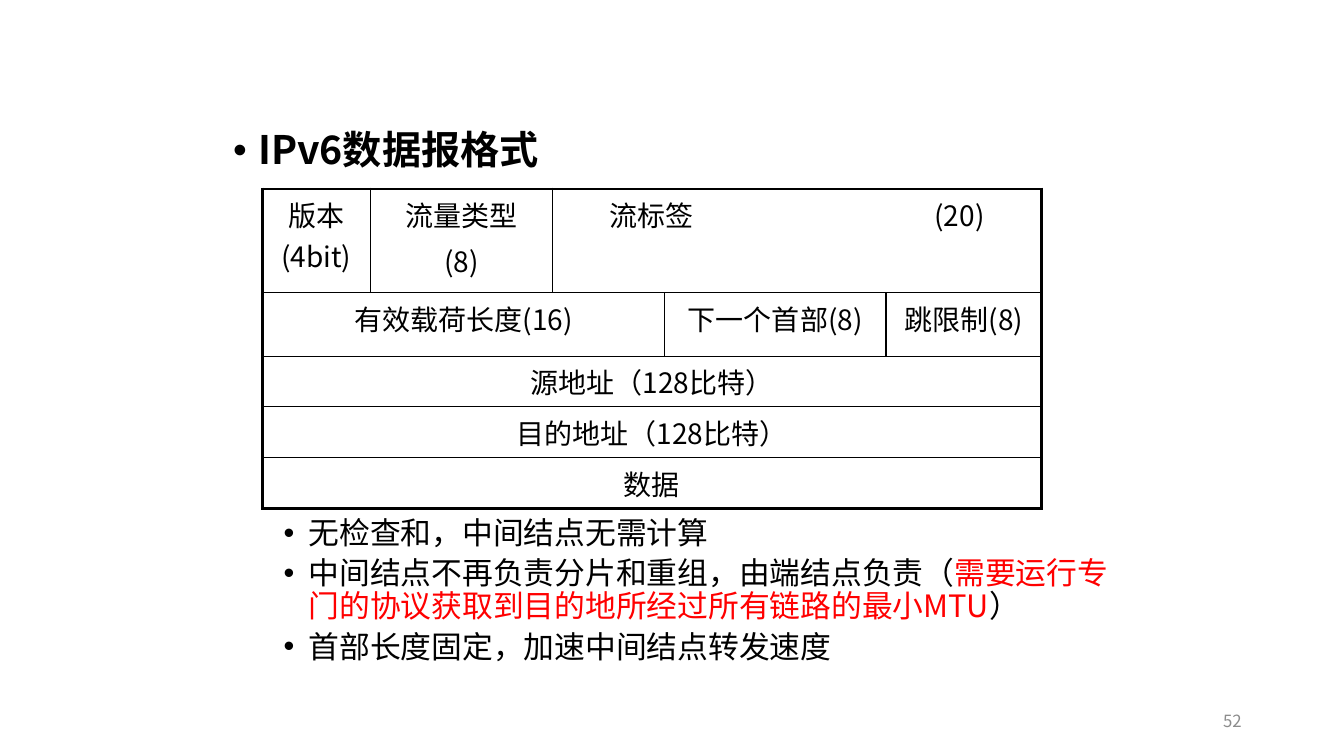
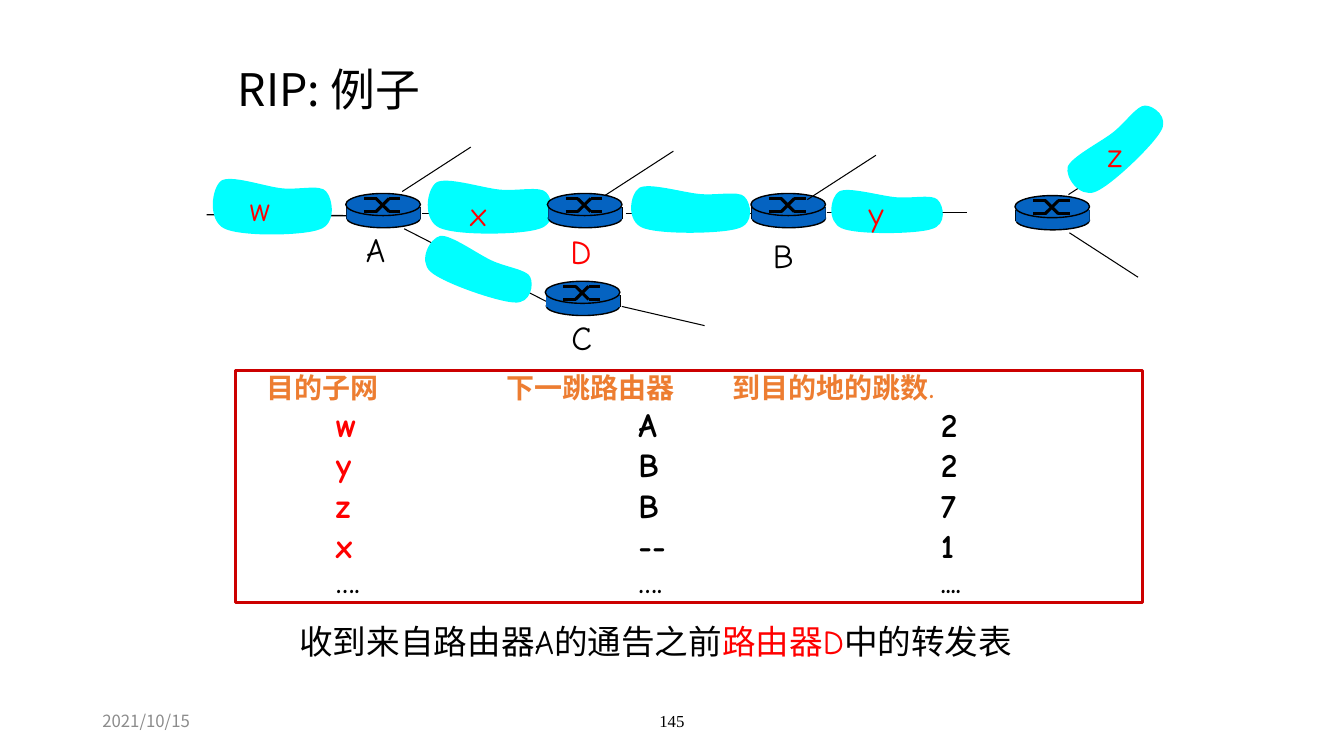
from lxml.etree import SubElement
from pptx import Presentation
from pptx.dml.color import RGBColor
from pptx.enum.shapes import MSO_CONNECTOR, MSO_SHAPE
from pptx.enum.text import MSO_ANCHOR, MSO_AUTO_SIZE, PP_ALIGN
from pptx.oxml.ns import qn
from pptx.util import Pt

BLACK = RGBColor(0x00, 0x00, 0x00)
GRAY = RGBColor(0x8C, 0x8C, 0x8C)
RED = RGBColor(0xFF, 0x00, 0x00)
CRIMSON = RGBColor(0xCC, 0x00, 0x00)
ORANGE = RGBColor(0xED, 0x7D, 0x31)
CYAN = RGBColor(0x00, 0xFF, 0xFF)
BLUE = RGBColor(0x05, 0x63, 0xC1)
SANS, COMIC, SERIF = "Noto Sans CJK SC", "Comic Neue", "Times New Roman"
THIN, FINE, BOLD = 0.75, 1, 2.25
CLOUD_SIZE = (134, 59)
CLOUD = [
    (76, 13), (58, 11), (24, 0), (14, 6), (4, 13), (0, 43), (17, 51), (34, 59),
    (99, 58), (116, 52), (134, 47), (130, 23), (123, 16), (117, 9), (94, 15), (76, 13),
]


class Deck:
    """Hold the shared style and the current slide."""

    def __init__(self):
        self.show = Presentation()
        self.show.slide_width, self.show.slide_height = Pt(960), Pt(540)
        self.slide = None

    def new(self, layout):
        """Start a slide on the given layout."""
        self.slide = self.show.slides.add_slide(self.show.slide_layouts[layout])

    def line(self, par, *bits, size=24, color=BLACK, face=SANS, bold=False, align=PP_ALIGN.LEFT, tabs=()):
        """Fill a paragraph with strings or (string, colour) pairs."""
        par.alignment = align
        if tabs:
            stops = SubElement(par._p.get_or_add_pPr(), qn("a:tabLst"))
            for pos in tabs:
                SubElement(stops, qn("a:tab"), pos=str(Pt(pos)), algn="l")
        for bit in bits:
            text, ink = (bit, color) if isinstance(bit, str) else bit
            run = par.add_run()
            run.text = text
            font = run.font
            font.size, font.bold, font.name = Pt(size), bold, face
            font.color.rgb = ink
            SubElement(run._r.get_or_add_rPr(), qn("a:ea"), typeface=SANS)

    def place(self, shape, x, y, w, h):
        """Move and size a placeholder and stop it shrinking its text."""
        shape.left, shape.top, shape.width, shape.height = Pt(x), Pt(y), Pt(w), Pt(h)
        shape.text_frame.auto_size = MSO_AUTO_SIZE.NONE
        return shape.text_frame

    def title(self, text, *box):
        """Set the slide title."""
        frame = self.place(self.slide.shapes.title, *box)
        frame.vertical_anchor = MSO_ANCHOR.MIDDLE
        frame.paragraphs[0].line_spacing = 0.9
        self.line(frame.paragraphs[0], text, size=32)

    def body(self, items, *box):
        """Fill the body with (level, gap, size, bold, bits) bullets."""
        frame = self.place(self.slide.placeholders[1], *box)
        for i, (level, gap, size, bold, bits) in enumerate(items):
            par = frame.add_paragraph() if i else frame.paragraphs[0]
            par.level, par.line_spacing, par.space_before = level, 0.9, Pt(gap)
            props = par._p.get_or_add_pPr()
            props.set("marL", str(Pt(18 + 36 * level)))
            props.set("indent", str(Pt(-18)))
            SubElement(props, qn("a:buChar"), char="•")
            self.line(par, *bits, size=size, bold=bold)

    def text(self, bits, x, y, w, h, wrap=True, mid=False, **style):
        """Add a text box with one paragraph."""
        frame = self.slide.shapes.add_textbox(Pt(x), Pt(y), Pt(w), Pt(h)).text_frame
        frame.word_wrap = wrap
        frame.vertical_anchor = MSO_ANCHOR.MIDDLE if mid else MSO_ANCHOR.TOP
        self.line(frame.paragraphs[0], *bits, **style)

    def foot(self, text, x, w, **style):
        """Add a footer entry."""
        self.text([text], x, 500.4, w, 28.8, mid=True, size=12, **style)

    def paint(self, shape, fill=None, edge=None, width=FINE):
        """Give a shape its fill and outline, without a shadow."""
        shape.shadow.inherit = False
        for part, ink in ((shape.fill, fill), (shape.line.fill, edge)):
            if ink is None:
                part.background()
            else:
                part.solid()
                part.fore_color.rgb = ink
        if edge is not None:
            shape.line.width = Pt(width)
        return shape

    def shape(self, kind, x, y, w, h, home=None, **style):
        """Add a preset shape to the slide or a group."""
        home = home or self.slide.shapes
        return self.paint(home.add_shape(kind, Pt(x), Pt(y), Pt(w), Pt(h)), **style)

    def link(self, x, y, end, low, width=THIN, home=None):
        """Add a straight line to the slide or a group."""
        home = home or self.slide.shapes
        wire = home.add_connector(MSO_CONNECTOR.STRAIGHT, Pt(x), Pt(y), Pt(end), Pt(low))
        wire.line.color.rgb, wire.line.width = BLACK, Pt(width)
        SubElement(wire._element.spPr, qn("a:effectLst"))

    def cloud(self, x, y, w, h, turn=0):
        """Add a subnet outline of cubic curves."""
        wide, high = CLOUD_SIZE
        dots = [(Pt(x + w * a / wide), Pt(y + h * b / high)) for a, b in CLOUD]
        pen = self.slide.shapes.build_freeform(*dots[0], scale=1.0)
        pen.add_line_segments(dots[1:], close=True)
        shape = self.paint(pen.convert_to_shape(), fill=CYAN)
        shape.rotation = turn
        legs = list(shape._element.iter(qn("a:lnTo")))
        for n in range(0, len(CLOUD) - 1, 3):
            trace = legs[n].getparent()
            bend = trace.makeelement(qn("a:cubicBezTo"), {})
            legs[n].addprevious(bend)
            for leg in legs[n:n + 3]:
                bend.append(leg[0])
                trace.remove(leg)

    def router(self, x, y):
        """Add a router symbol as a group."""
        home = self.slide.shapes.add_group_shape().shapes
        self.shape(MSO_SHAPE.OVAL, x + 0.7, y + 10.8, 52.6, 13.7, home, fill=BLUE, edge=BLACK)
        for side in (0.7, 53.3):
            self.link(x + side, y + 10, x + side, y + 18.5, FINE, home)
        self.shape(MSO_SHAPE.RECTANGLE, x + 0.7, y + 10, 52.6, 8.6, home, fill=BLUE)
        self.shape(MSO_SHAPE.OVAL, x, y, 53.3, 15.8, home, fill=BLUE, edge=BLACK)
        for top, low in ((3.6, 13), (13, 3.6)):
            for a, b, c, d in ((13, top, 22, top), (21.6, top, 31, low), (31, low, 39, low)):
                self.link(x + a, y + b, x + c, y + d, BOLD, home)

    def rule(self, cell, side, width):
        """Draw one border of a cell."""
        edge = SubElement(cell._tc.get_or_add_tcPr(), qn("a:ln" + side), w=str(Pt(width)))
        ink = SubElement(edge, qn("a:solidFill"))
        SubElement(ink, qn("a:srgbClr"), val=str(BLACK))

    def table(self, x, y, cols, rows, spans):
        """Add a ruled table from (row, first, last, lines, tabs) spans."""
        box = self.slide.shapes.add_table(
            len(rows), len(cols), Pt(x), Pt(y), Pt(sum(cols)), Pt(sum(rows)))
        grid = box.table
        grid.first_row = grid.horz_banding = False
        for col, size in zip(grid.columns, cols):
            col.width = Pt(size)
        for row, size in zip(grid.rows, rows):
            row.height = Pt(size)
        for row, first, last, lines, tabs in spans:
            ends = {
                "L": first == 0, "R": last == len(cols) - 1,
                "T": row == 0, "B": row == len(rows) - 1,
            }
            for col in range(first, last + 1):
                cell = grid.cell(row, col)
                for side, outer in ends.items():
                    self.rule(cell, side, BOLD if outer else FINE)
                cell.fill.background()
            cell = grid.cell(row, first)
            if last > first:
                cell.merge(grid.cell(row, last))
            frame = cell.text_frame
            for n, text in enumerate(lines):
                par = frame.add_paragraph() if n else frame.paragraphs[0]
                if n:
                    par.space_before = Pt(4)
                align = PP_ALIGN.LEFT if tabs else PP_ALIGN.CENTER
                self.line(par, text, size=20, align=align, tabs=tabs)


def format_slide(deck):
    """Build the datagram format slide."""
    deck.new(1)
    holder = deck.slide.shapes.title._element
    holder.getparent().remove(holder)
    deck.body([
        (0, 0, 28, True, ["IPv6数据报格式"]),
        (1, 246, 22, False, ["无检查和，中间结点无需计算"]),
        (1, 5, 22, False, ["中间结点不再负责分片和重组，由端结点负责（",
                           ("需要运行专门的协议获取到目的地所经过所有链路的最小MTU", RED), "）"]),
        (1, 5, 22, False, ["首部长度固定，加速中间结点转发速度"]),
    ], 159.3, 90, 648, 396.7)
    deck.table(187.4, 135, (77, 130.3, 80, 158.2, 111.2), (74, 45.4, 31.7, 32.4, 31), [
        (0, 0, 0, ["版本(4bit)"], ()),
        (0, 1, 1, ["流量类型", "(8)"], ()),
        (0, 2, 4, ["\t流标签\t(20)"], (33.4, 265.6)),
        (1, 0, 2, ["有效载荷长度(16)"], ()),
        (1, 3, 3, ["下一个首部(8)"], ()),
        (1, 4, 4, ["跳限制(8)"], ()),
        (2, 0, 4, ["源地址（128比特）"], ()),
        (3, 0, 4, ["目的地址（128比特）"], ()),
        (4, 0, 4, ["数据"], ()),
    ])
    deck.foot("52", 678, 216, color=GRAY, align=PP_ALIGN.RIGHT)


def rip_slide(deck):
    """Build the routing example slide."""
    deck.new(5)
    deck.title("RIP: 例子", 162.7, 44.6, 612, 42.5)
    deck.foot("2021/10/15", 66, 216, color=GRAY)
    deck.foot("145", 318, 324, face=SERIF, align=PP_ALIGN.CENTER)
    for x, y, low in (
        (147.6, 153.4, 154.1), (301.7, 152.6, 152.6), (447.1, 152.6, 152.6), (590.4, 151.9, 151.9),
    ):
        deck.link(x, y, x + 100.6, low, FINE)
    deck.link(288.7, 163.4, 390.2, 215.3)
    deck.link(763.2, 139, 812.2, 107.3)
    for spot in (
        (148.3, 124.6, 92.2, 44.6), (301.7, 126, 96.5, 42.5), (447.1, 130.3, 92.2, 37.4),
        (590.4, 133.2, 86.4, 34.6), (298.8, 175.7, 86.4, 34.6, 19.7),
        (753.8, 88.6, 86.4, 34.6, 316.8),
    ):
        deck.cloud(*spot)
    for x, y in ((247, 138.2), (391, 138.2), (536.4, 138.2), (389.5, 200.9), (725, 139.7)):
        deck.router(x, y)
    for x, y in ((287.3, 136.8), (432, 139.7), (576.7, 142.6)):
        deck.link(x, y, x + 49, y - 31.7)
    deck.link(763.9, 166.3, 812.9, 198)
    deck.link(444.2, 218.9, 503.3, 232.6)
    for name, x, y, w, ink in (
        ("w", 171.4, 131, 31, RED), ("x", 329, 134.6, 28.8, RED),
        ("y", 613.4, 134.6, 27.4, RED), ("z", 784.1, 92.2, 27.4, RED),
        ("A", 254.2, 159.8, 31.7, BLACK), ("B", 545, 164.2, 29.5, BLACK),
        ("C", 401, 222.5, 28.8, BLACK), ("D", 400.3, 161.3, 31.7, RED),
    ):
        deck.text([name], x, y, w, 36, wrap=False, color=ink, face=COMIC)
    box = deck.shape(MSO_SHAPE.RECTANGLE, 168, 264.6, 648, 165.6, edge=CRIMSON, width=BOLD)
    frame = box.text_frame
    frame.word_wrap, frame.vertical_anchor = True, MSO_ANCHOR.TOP
    frame.margin_left = frame.margin_right = frame.margin_top = frame.margin_bottom = 0
    deck.line(frame.paragraphs[0], "\t目的子网\t下一跳路由器\t到目的地的跳数.", size=20,
              color=ORANGE, face=COMIC, bold=True, tabs=(22.5, 194, 355.4))
    for net, hop, count, ink, size in (
        ("w", "A", "2", RED, 24), ("y", "B", "2", RED, 24), ("z", "B", "7", RED, 24),
        ("x", "--", "1", RED, 24), ("….", "….", "....", BLACK, 20),
    ):
        deck.line(frame.add_paragraph(), ("\t" + net, ink), f"\t{hop}\t{count}", size=size,
                  face=COMIC, bold=True, tabs=(72, 288, 504))
    deck.text(["收到来自路由器A的通告之前", ("路由器D", RED), "中的转发表"],
              206.8, 439.9, 529.2, 36, face=COMIC)


def main():
    """Build and save the deck."""
    deck = Deck()
    format_slide(deck)
    rip_slide(deck)
    deck.show.save("out.pptx")


if __name__ == "__main__":
    main()
